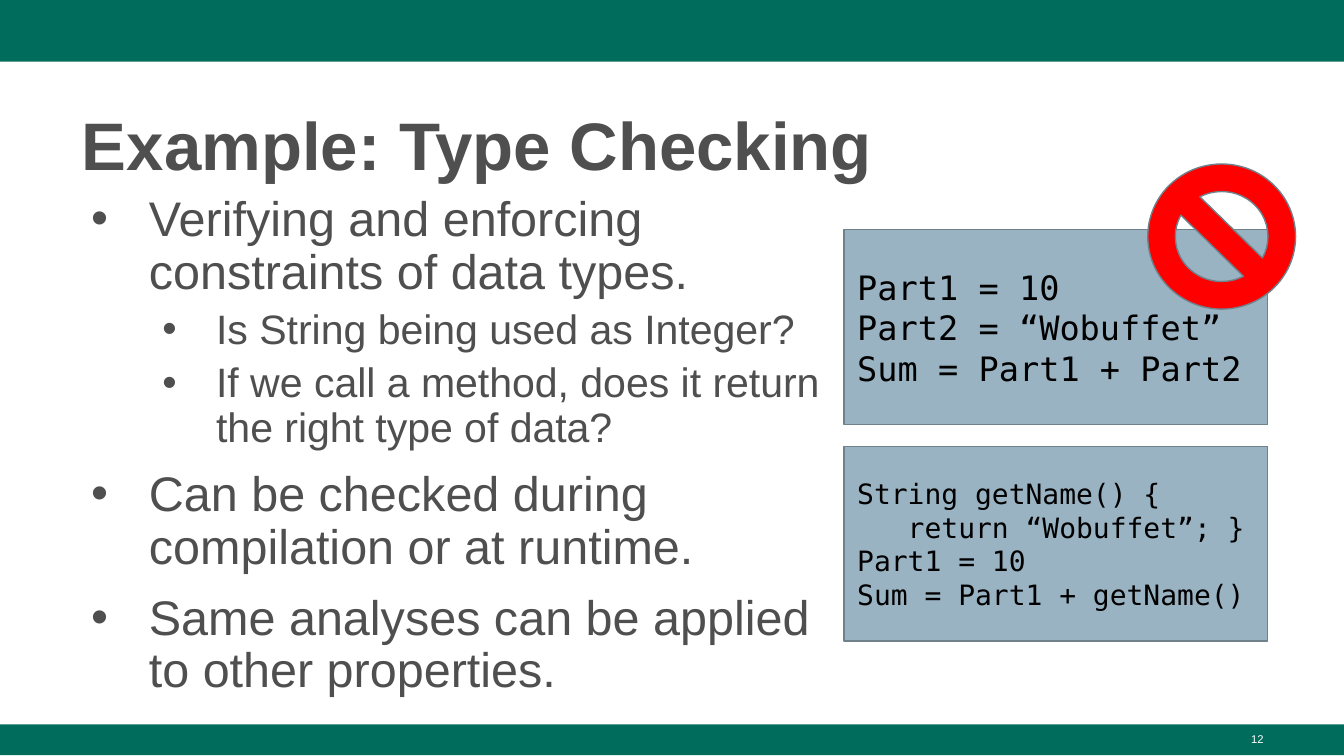
from lxml import etree
from pptx import Presentation
from pptx.dml.color import RGBColor
from pptx.enum import shapes, text
from pptx.oxml.ns import qn
from pptx.util import Inches, Pt

GREEN, GREY, WHITE, BLACK = "006C5C", "4F4F4F", "FFFFFF", "000000"
PANEL, OUTLINE, RED = "99B3C2", "6F828C", "FF0000"

# (level, text) for each point
POINTS = [
    (0, "Verifying and enforcing constraints of data types."),
    (1, "Is String being used as Integer?"),
    (1, "If we call a method, does it return the right type of data?"),
    (0, "Can be checked during compilation or at runtime."),
    (0, "Same analyses can be applied to other properties."),
]
# size, left indent, hanging indent, space before for each level
LEVELS = [(26, 0.5, -0.43, 10), (22, 1, -0.4, 5)]

# A vertical tab is a line break within a paragraph
SUM_CODE = "Part1 = 10\nPart2 = “Wobuffet”\nSum = Part1 + Part2"
METHOD_CODE = ("String getName() { \v   return “Wobuffet”; }\n"
               "Part1 = 10\nSum = Part1 + getName()")


def color(value):
    return RGBColor.from_string(value)


def style(paragraph, size, value, font="Arial", bold=False):
    for run in paragraph.runs:
        run.font.size = Pt(size)
        run.font.name = font
        run.font.bold = bold
        run.font.color.rgb = color(value)


def add_box(slide, kind, box, fill, line=None):
    shape = slide.shapes.add_shape(kind, *map(Inches, box))
    shape.shadow.inherit = False
    shape.fill.solid()
    shape.fill.fore_color.rgb = color(fill)
    if line:
        shape.line.color.rgb = color(line)
        shape.line.width = Pt(0.75)
    else:
        shape.line.fill.background()
    return shape


def add_code(slide, top, code, size):
    panel = add_box(slide, shapes.MSO_SHAPE.RECTANGLE,
                    (6.28, top, 3.15, 1.45), PANEL, OUTLINE)
    frame = panel.text_frame
    frame.margin_top = frame.margin_bottom = Inches(0.1)
    frame.vertical_anchor = text.MSO_ANCHOR.MIDDLE
    frame.text = code
    for line in frame.paragraphs:
        line.alignment = text.PP_ALIGN.LEFT
        style(line, size, BLACK, "DejaVu Sans Mono")


def set_title(slide, words):
    title = slide.shapes.title
    title.left, title.top, title.width, title.height = map(
        Inches, (0.51, 0.67, 8.99, 0.73))
    frame = title.text_frame
    frame.text = words
    frame.auto_size = text.MSO_AUTO_SIZE.NONE
    frame.vertical_anchor = text.MSO_ANCHOR.BOTTOM
    frame.margin_bottom = Inches(0.03)
    heading = frame.paragraphs[0]
    heading.alignment = text.PP_ALIGN.LEFT
    heading.line_spacing = 1.08
    style(heading, 36, GREY, bold=True)


def add_text(slide, box, words):
    frame = slide.shapes.add_textbox(*map(Inches, box)).text_frame
    frame.word_wrap = True
    frame.text = words
    return frame


def add_bullet(paragraph, left, hanging):
    props = paragraph._p.get_or_add_pPr()
    props.set("marL", str(Inches(left)))
    props.set("indent", str(Inches(hanging)))
    bullet_color = etree.SubElement(props, qn("a:buClr"))
    etree.SubElement(bullet_color, qn("a:srgbClr"), val=GREY)
    etree.SubElement(props, qn("a:buFont"), typeface="Arial")
    etree.SubElement(props, qn("a:buChar"), char="•")


def add_points(slide):
    frame = add_text(slide, (0.51, 1.4, 5.77, 3.81),
                     "\n".join(words for _, words in POINTS))
    for i, (point, (level, _)) in enumerate(zip(frame.paragraphs, POINTS)):
        size, left, hanging, before = LEVELS[level]
        point.level = level
        add_bullet(point, left, hanging)
        point.line_spacing = 0.9
        point.space_before = Pt(before if i else 0)
        style(point, size, GREY)


def main():
    deck = Presentation()
    deck.slide_width = Inches(10)
    deck.slide_height = deck.slide_width * 9 // 16
    slide = deck.slides.add_slide(deck.slide_layouts[5])

    # Header and footer bands, with the slide number
    for top, height in ((0, 0.46), (5.39, 0.23)):
        add_box(slide, shapes.MSO_SHAPE.RECTANGLE, (0, top, 10, height), GREEN)
    number = add_text(slide, (7.17, 5.4, 2.33, 0.23), "12").paragraphs[0]
    number.alignment = text.PP_ALIGN.RIGHT
    style(number, 6, WHITE)

    # Title and points
    set_title(slide, "Example: Type Checking")
    add_points(slide)

    # Code panels, the first marked as forbidden
    add_code(slide, 1.71, SUM_CODE, 18)
    forbidden = add_box(slide, shapes.MSO_SHAPE.NO_SYMBOL,
                        (8.54, 1.22, 1.1, 1.08), RED, OUTLINE)
    forbidden.adjustments[0] = 0.19
    add_code(slide, 3.32, METHOD_CODE, 15)

    deck.save("out.pptx")


if __name__ == "__main__":
    main()
